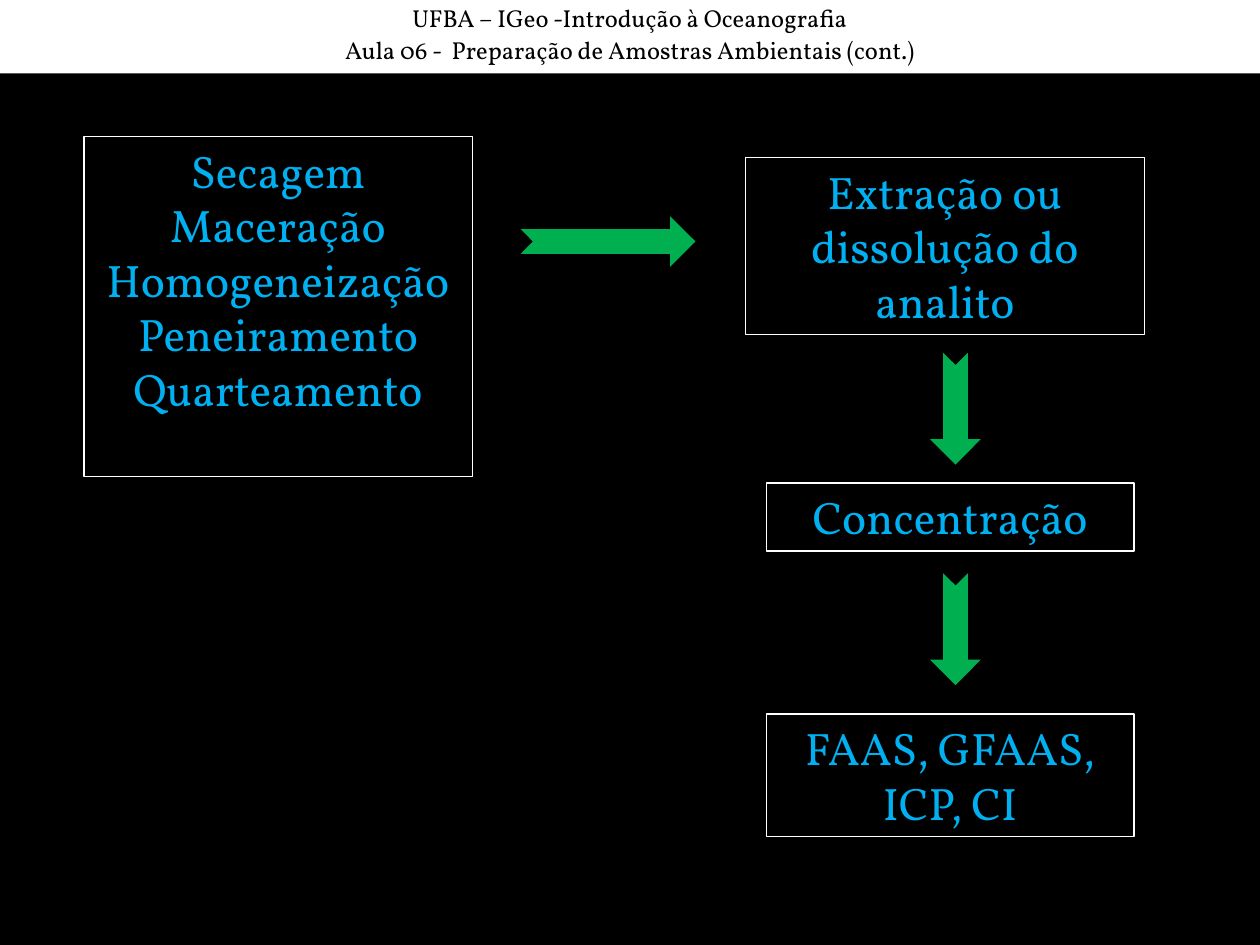
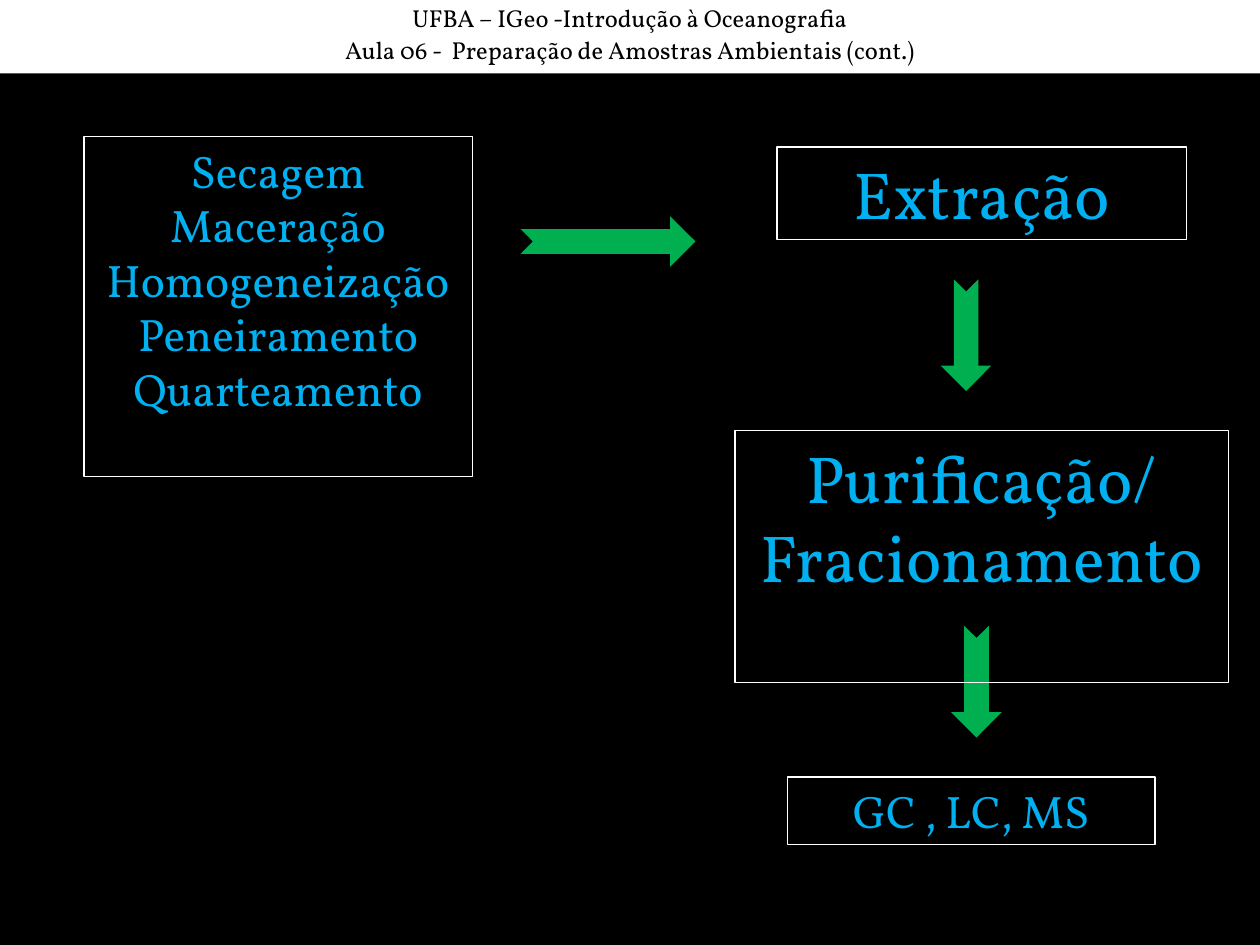
from lxml.etree import SubElement
from pptx import Presentation
from pptx.dml.color import RGBColor as RGB
from pptx.enum.shapes import MSO_SHAPE as SHAPE
from pptx.enum.text import MSO_ANCHOR as ANCHOR, PP_ALIGN as ALIGN
from pptx.oxml.ns import qn
from pptx.util import Pt
from dataclasses import dataclass


@dataclass(frozen=True)
class Theme:
    font: str = "Vollkorn"
    back: RGB = RGB(0, 0, 0)
    band: RGB = RGB(255, 255, 255)
    header: RGB = RGB(0, 0, 0)
    step: RGB = RGB(0, 0xB0, 0xF0)
    border: RGB = RGB(255, 255, 255)
    arrow: RGB = RGB(0, 0xB0, 0x50)
    header_size: int = 14
    step_size: int = 26
    big_size: int = 38


T = Theme()
WIDTH, HEIGHT, BAND = 720, 540, 42
ARROW_THICK = 24

HEADER = [
    "UFBA – IGeo -Introdução à Oceanografia",
    "Aula 06 -  Preparação de Amostras Ambientais (cont.)",
]

# Boxes: lines, (left, top, width, height), type size
PREPARATION = (
    ["Secagem", "Maceração", "Homogeneização", "Peneiramento", "Quarteamento"],
    (48, 78, 222, 194.4), T.step_size)
# Arrows: centre x, centre y, length, rotation
TO_EXTRACTION = (348, 138, 96, 0)

SLIDES = [
    {
        "boxes": [
            (["Extração ou dissolução do analito"], (426, 90, 228, 101), T.step_size),
            (["Concentração"], (438, 276, 210, 38.8), T.step_size),
            (["FAAS, GFAAS, ICP, CI"], (438, 408, 210, 70), T.step_size),
        ],
        "arrows": [(546, 234, 60, 90), (546, 360, 60, 90)],
    },
    {
        "boxes": [
            (["Extração"], (444, 84, 234, 53), T.big_size),
            (["Purificação/", "Fracionamento"], (420, 246, 282, 144), T.big_size),
            (["GC , LC, MS"], (450, 444, 210, 38.8), T.step_size),
        ],
        "arrows": [(552, 192, 60, 90), (558, 390, 60, 90)],
    },
]


def add_shape(slide, kind, place, fill=None, line=None, weight=0.75):
    sp = slide.shapes.add_shape(kind, *map(Pt, place))
    sp.shadow.inherit = False
    for part, color in ((sp.fill, fill), (sp.line.fill, line)):
        if color is None:
            part.background()
        else:
            part.solid()
            part.fore_color.rgb = color
    if line is not None:
        sp.line.width = Pt(weight)
    return sp


def write(sp, lines, size, color, spacing=None, gap=0):
    tf = sp.text_frame
    tf.word_wrap = True
    tf.vertical_anchor = ANCHOR.TOP
    for i, line in enumerate(lines):
        p = tf.add_paragraph() if i else tf.paragraphs[0]
        p.alignment = ALIGN.CENTER
        if spacing:
            p.line_spacing = spacing
        if i and gap:
            p.space_before = Pt(gap)
        r = p.add_run()
        r.text = line
        r.font.name = T.font
        r.font.size = Pt(size)
        r.font.color.rgb = color


def add_header(slide):
    sp = add_shape(slide, SHAPE.RECTANGLE, (0, 0, WIDTH, BAND), fill=T.band)
    write(sp, HEADER, T.header_size, T.header, spacing=0.9, gap=3.5)


def add_arrow(slide, x, y, length, rotation):
    place = (x - length / 2, y - ARROW_THICK / 2, length, ARROW_THICK)
    sp = add_shape(slide, SHAPE.NOTCHED_RIGHT_ARROW, place, T.arrow, T.arrow, 2)
    sp.rotation = rotation
    # Sharp corners
    SubElement(sp.line._get_or_add_ln(), qn("a:miter"), lim="800000")


def add_box(slide, lines, place, size):
    sp = add_shape(slide, SHAPE.RECTANGLE, place, line=T.border)
    write(sp, lines, size, T.step)


def main():
    prs = Presentation()
    prs.slide_width, prs.slide_height = Pt(WIDTH), Pt(HEIGHT)
    for content in SLIDES:
        slide = prs.slides.add_slide(prs.slide_layouts[6])
        slide.background.fill.solid()
        slide.background.fill.fore_color.rgb = T.back
        add_header(slide)
        for arrow in [TO_EXTRACTION, *content["arrows"]]:
            add_arrow(slide, *arrow)
        for box in [PREPARATION, *content["boxes"]]:
            add_box(slide, *box)
    prs.save("out.pptx")


if __name__ == "__main__":
    main()
